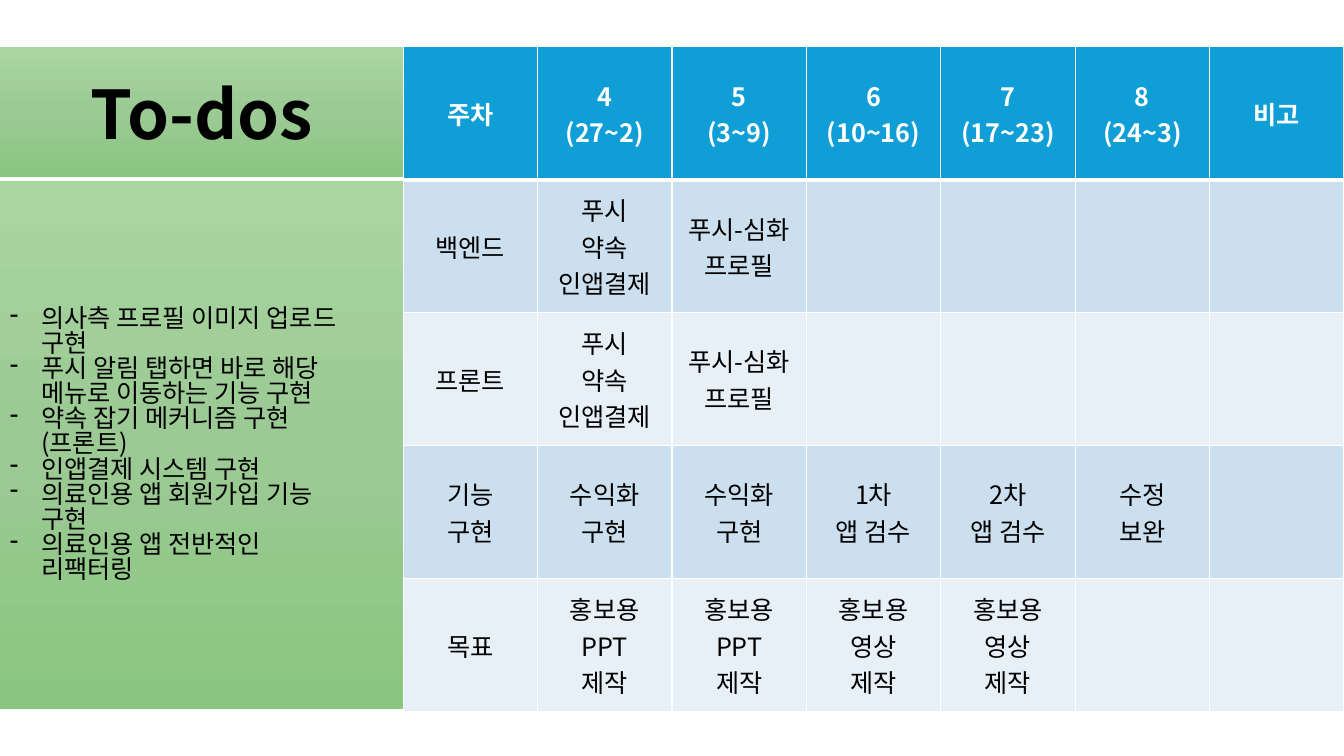
from copy import deepcopy

from lxml.etree import SubElement
from pptx import Presentation
from pptx.dml.color import RGBColor
from pptx.enum.shapes import MSO_SHAPE as Shape
from pptx.enum.text import MSO_ANCHOR as Anchor, MSO_AUTO_SIZE as AutoSize, PP_ALIGN as Align
from pptx.oxml import parse_xml
from pptx.oxml.ns import nsdecls, qn
from pptx.util import Cm, Pt

FONT = "Noto Sans CJK KR"
BLACK = RGBColor(0x00, 0x00, 0x00)
WHITE = RGBColor(0xFF, 0xFF, 0xFF)
BLUE = RGBColor(0x0F, 0x9E, 0xD5)
BLUE_BAND = RGBColor(0xCC, 0xDF, 0xEF)
PALE_BAND = RGBColor(0xE7, 0xF0, 0xF7)
GREENS = [
    (0, RGBColor(0xA8, 0xD5, 0xA0)),
    (0.5, RGBColor(0x9C, 0xCA, 0x94)),
    (1, RGBColor(0x8A, 0xC6, 0x80)),
]


def write_text(frame, paragraphs, size=18, color=BLACK, bold=False,
               align=Align.CENTER, spacing=None, bullet=None):
    for index, text in enumerate(paragraphs):
        paragraph = frame.add_paragraph() if index else frame.paragraphs[0]
        paragraph.text = text
        paragraph.alignment = align
        paragraph.line_spacing = spacing
        if bullet:
            properties = paragraph._p.get_or_add_pPr()
            properties.set("marL", str(Cm(0.79)))
            properties.set("indent", str(-Cm(0.79)))
            SubElement(properties, qn("a:buChar"), char=bullet)
        for run in paragraph.runs:
            run.font.size = Pt(size)
            run.font.bold = bold
            run.font.color.rgb = color
            run.font.name = FONT
            SubElement(run._r.rPr, qn("a:ea"), typeface=FONT)


def style_panel(shape, top, height):
    shape.left, shape.top, shape.width, shape.height = Cm(0), Cm(top), Cm(10.16), Cm(height)
    shape.shadow.inherit = False
    shape.line.fill.background()
    shape.fill.gradient()
    shape.fill.gradient_angle = 270
    stop_list = shape._element.spPr.find(".//" + qn("a:gsLst"))
    stop_list.insert(1, deepcopy(stop_list[0]))
    for stop, (position, color) in zip(shape.fill.gradient_stops, GREENS):
        stop.position = position
        stop.color.rgb = color
    shape.text_frame.word_wrap = True
    shape.text_frame.auto_size = AutoSize.NONE
    shape.text_frame.vertical_anchor = Anchor.MIDDLE


presentation = Presentation()
presentation.slide_width = Cm(33.87)
presentation.slide_height = Cm(19.05)
slide = presentation.slides.add_slide(presentation.slide_layouts[5])

schedule = [
    [["주차"], ["4\n(27~2)"], ["5\n(3~9)"], ["6\n(10~16)"], ["7\n(17~23)"], ["8\n(24~3)"], ["비고"]],
    [["백엔드"], ["푸시", "약속", "인앱결제"], ["푸시-심화", "프로필"]],
    [["프론트"], ["푸시", "약속", "인앱결제"], ["푸시-심화", "프로필"]],
    [["기능", "구현"], ["수익화", "구현"], ["수익화", "구현"],
     ["1차", "앱 검수"], ["2차", "앱 검수"], ["수정", "보완"]],
    [["목표"], ["홍보용\nPPT", "제작"], ["홍보용\nPPT", "제작"],
     ["홍보용\n영상", "제작"], ["홍보용", "영상", "제작"]],
]
row_count, column_count = len(schedule), len(schedule[0])
table = slide.shapes.add_table(
    row_count, column_count, Cm(10.16), Cm(1.18), Cm(23.71), Cm(16.75)).table
for column in table.columns:
    column.width = Cm(23.71 / column_count)
for row in table.rows:
    row.height = Cm(16.75 / row_count)

for row_index, entries in enumerate(schedule):
    header = row_index == 0
    band = BLUE if header else BLUE_BAND if row_index % 2 else PALE_BAND
    for column_index in range(column_count):
        cell = table.cell(row_index, column_index)
        cell.vertical_anchor = Anchor.MIDDLE
        cell.fill.solid()
        cell.fill.fore_color.rgb = band
        if column_index < len(entries):
            write_text(cell.text_frame, entries[column_index],
                       color=WHITE if header else BLACK, bold=header)
        widths = {"lnL": 1, "lnR": 1, "lnT": 3 if row_index == 1 else 1, "lnB": 3 if header else 1}
        for position, (edge, width) in enumerate(widths.items()):
            border = parse_xml(
                f'<a:{edge} {nsdecls("a")} w="{Pt(width)}"><a:solidFill>'
                f'<a:srgbClr val="{WHITE}"/></a:solidFill></a:{edge}>')
            cell._tc.get_or_add_tcPr().insert(position, border)

title = slide.shapes.title
style_panel(title, 1.19, 3.28)
write_text(title.text_frame, ["To-dos"], size=48, bold=True)

todo_panel = slide.shapes.add_shape(Shape.RECTANGLE, Cm(0), Cm(4.57), Cm(10.16), Cm(13.31))
style_panel(todo_panel, 4.57, 13.31)
todos = [
    "의사측 프로필 이미지 업로드\n구현",
    "푸시 알림 탭하면 바로 해당\n메뉴로 이동하는 기능 구현",
    "약속 잡기 메커니즘 구현\n(프론트)",
    "인앱결제 시스템 구현",
    "의료인용 앱 회원가입 기능\n구현",
    "의료인용 앱 전반적인\n리팩터링",
]
write_text(todo_panel.text_frame, todos, align=Align.LEFT, spacing=0.83, bullet="-")

presentation.save("out.pptx")
